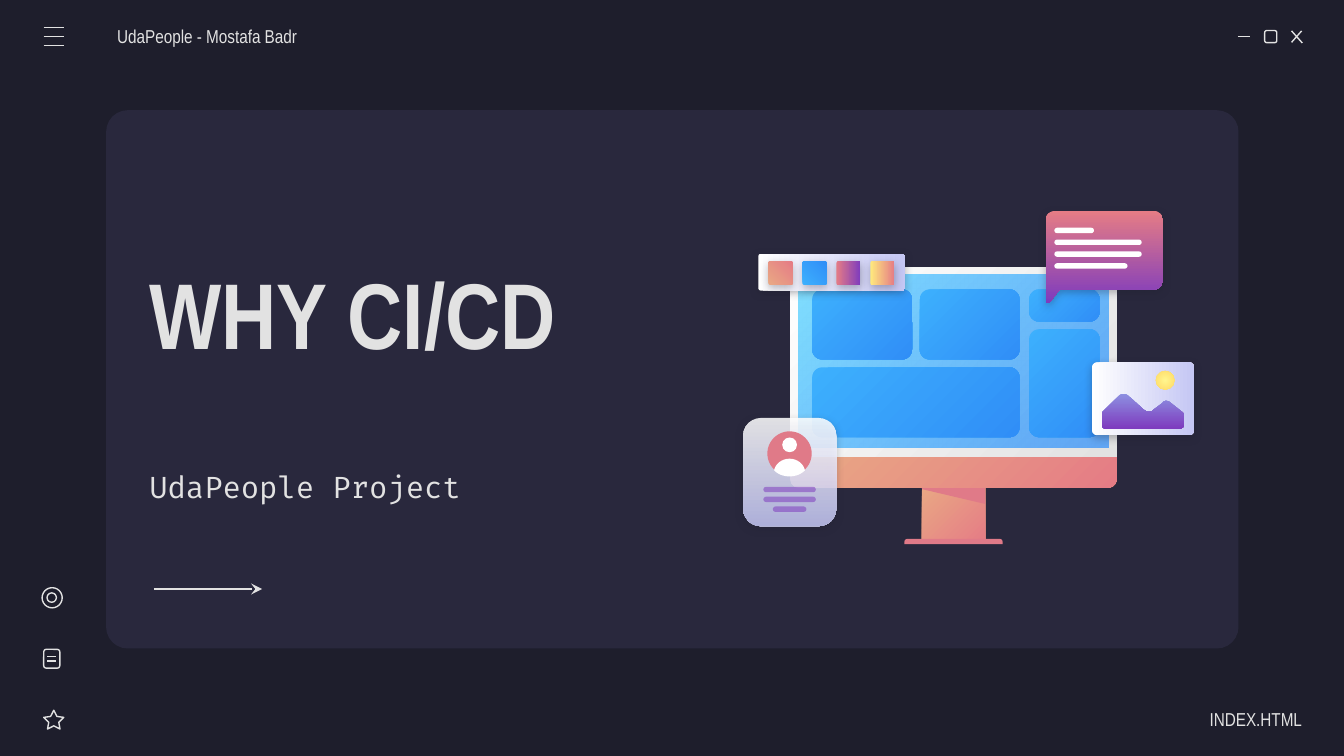
"""Build the title slide: a dark browser window with a desktop illustration."""
from dataclasses import dataclass
from typing import Optional

from lxml import etree
from pptx import Presentation
from pptx import util as u
from pptx.dml.color import RGBColor
from pptx.enum import shapes, text
from pptx.oxml.ns import qn

COLUMNS = 100
WIDTH = u.Inches(10)
HEIGHT = u.Emu(WIDTH * 9 // 16)
CELL = WIDTH / COLUMNS

NIGHT = RGBColor(0x1E, 0x1E, 0x2C)
PANEL = RGBColor(0x29, 0x28, 0x3D)
SILVER = RGBColor(0xE2, 0xE2, 0xE2)
WHITE = RGBColor(0xFF, 0xFF, 0xFF)
LAVENDER = RGBColor(0xC5, 0xC7, 0xF4)
PERIWINKLE = RGBColor(0x8D, 0x90, 0xE1)
PURPLE = RGBColor(0x7E, 0x3B, 0xBE)
ROSE = RGBColor(0xE0, 0x7A, 0x88)
CORAL = RGBColor(0xE5, 0x7C, 0x85)
PEACH = RGBColor(0xE9, 0xA9, 0x84)
SKY = RGBColor(0x80, 0xDF, 0xFF)
AZURE = RGBColor(0x31, 0x8F, 0xFA)
LIGHT_BLUE = RGBColor(0x3D, 0xB0, 0xFD)
BLUE = RGBColor(0x30, 0x8E, 0xF7)
LEMON = RGBColor(0xFF, 0xF6, 0x8E)
YELLOW = RGBColor(0xFF, 0xEA, 0x7D)
GOLD = RGBColor(0xFF, 0xD9, 0x66)

RECTANGLE = shapes.MSO_SHAPE.RECTANGLE
ROUNDED = shapes.MSO_SHAPE.ROUNDED_RECTANGLE
ROUND_TOP = shapes.MSO_SHAPE.ROUND_2_SAME_RECTANGLE
OVAL = shapes.MSO_SHAPE.OVAL
STAR = shapes.MSO_SHAPE.STAR_5_POINT


@dataclass(frozen=True)
class Paint:
    """A solid colour, or a gradient when an end colour is given."""
    start: RGBColor
    end: Optional[RGBColor] = None
    angle: int = 45
    opacity: tuple = (100, 100)
    radial: bool = False


@dataclass(frozen=True)
class Item:
    """A preset shape placed in grid cells: left, top, width, height."""
    kind: int
    area: tuple
    paint: Optional[Paint] = None
    adjust: tuple = ()
    rotation: int = 0
    shadow: bool = False


@dataclass(frozen=True)
class Label:
    """A line of text with its box in grid cells and its side insets."""
    words: str
    area: tuple
    size: int
    font: str = "Arial Narrow"
    bold: bool = False
    insets: tuple = (1, 1)
    align: int = text.PP_ALIGN.LEFT


WARM = Paint(PEACH, CORAL)
OCEAN = Paint(LIGHT_BLUE, BLUE)
PAPER = Paint(WHITE, LAVENDER, 90)
DUSK = Paint(CORAL, PURPLE, 90)


def cells(count: float) -> u.Emu:
    """Return the length of a number of grid cells."""
    return u.Emu(round(count * CELL))


def add_child(parent, tag: str, **values):
    """Add a drawing element with the given attribute values."""
    child = etree.SubElement(parent, qn(tag))
    for name, value in values.items():
        child.set(name, str(value))
    return child


def apply_paint(shape, paint: Paint) -> None:
    """Fill a shape and remove its outline."""
    fill = shape.fill
    if paint.end is None:
        fill.solid()
        fill.fore_color.rgb = paint.start
    else:
        fill.gradient()
        fill.gradient_angle = (360 - paint.angle) % 360
        for stop, color in zip(fill.gradient_stops, (paint.start, paint.end)):
            stop.color.rgb = color
    properties = shape._element.spPr
    for color, opacity in zip(properties.iter(qn("a:srgbClr")), paint.opacity):
        if opacity < 100:
            add_child(color, "a:alpha", val=opacity * 1000)
    if paint.radial:
        gradient = properties.find(qn("a:gradFill"))
        gradient.remove(gradient.find(qn("a:lin")))
        circle = add_child(gradient, "a:path", path="circle")
        add_child(circle, "a:fillToRect", l=50000, t=50000, r=50000, b=50000)
    shape.line.fill.background()


def outline(line) -> None:
    """Give a line the thin silver stroke."""
    line.color.rgb = SILVER
    line.width = u.Pt(0.75)


def set_shadow(shape, visible: bool) -> None:
    """Clear the theme shadow and add a soft one when wanted."""
    shape.shadow.inherit = False
    if visible:
        effects = shape._element.spPr.find(qn("a:effectLst"))
        shadow = add_child(effects, "a:outerShdw", blurRad=u.Pt(4.5), dist=u.Pt(1.5),
                           dir=5400000, algn="bl", rotWithShape=0)
        color = add_child(shadow, "a:srgbClr", val=NIGHT)
        add_child(color, "a:alpha", val=30000)


def draw_item(slide, item: Item) -> None:
    """Draw a preset shape, outlined when it has no paint."""
    shape = slide.shapes.add_shape(item.kind, *map(cells, item.area))
    for index, value in enumerate(item.adjust):
        shape.adjustments[index] = value
    shape.rotation = item.rotation
    if item.paint:
        apply_paint(shape, item.paint)
    else:
        shape.fill.background()
        outline(shape.line)
    set_shadow(shape, item.shadow)


def curve_points(start: tuple, curve: tuple, steps: int = 8) -> list:
    """Return points along a cubic curve given by two controls and an end."""
    points = (start, curve[:2], curve[2:4], curve[4:])
    result = []
    for step in range(1, steps + 1):
        t = step / steps
        weights = ((1 - t) ** 3, 3 * t * (1 - t) ** 2, 3 * t * t * (1 - t), t ** 3)
        result.append(tuple(sum(w * p[axis] for w, p in zip(weights, points))
                            for axis in (0, 1)))
    return result


def draw_outline(slide, segments: list, paint: Paint, shadow: bool = False) -> None:
    """Draw a closed outline of points and cubic curves."""
    points = [segments[0]]
    for segment in segments[1:]:
        points += [segment] if len(segment) == 2 else curve_points(points[-1], segment)
    builder = slide.shapes.build_freeform(*map(cells, points[0]))
    builder.add_line_segments([tuple(map(cells, point)) for point in points[1:]])
    shape = builder.convert_to_shape()
    apply_paint(shape, paint)
    set_shadow(shape, shadow)


def draw_line(slide, ends: tuple, arrow: bool = False) -> None:
    """Draw a straight line between two grid positions."""
    connector = slide.shapes.add_connector(shapes.MSO_CONNECTOR.STRAIGHT, *map(cells, ends))
    outline(connector.line)
    properties = connector._element.spPr
    if arrow:
        add_child(properties.find(qn("a:ln")), "a:tailEnd", type="stealth")
    add_child(properties, "a:effectLst")


def draw_label(slide, label: Label) -> None:
    """Write a line of text in its box."""
    frame = slide.shapes.add_textbox(*map(cells, label.area)).text_frame
    frame.word_wrap = True
    frame.vertical_anchor = text.MSO_ANCHOR.MIDDLE
    frame.margin_left, frame.margin_right = map(cells, label.insets)
    frame.margin_top = frame.margin_bottom = cells(1)
    frame.text = label.words
    paragraph = frame.paragraphs[0]
    paragraph.alignment = label.align
    font = paragraph.runs[0].font
    font.name, font.size, font.bold = label.font, u.Pt(label.size), label.bold
    font.color.rgb = SILVER


def draw_window(slide) -> None:
    """Draw the panel, the window controls and the side icons."""
    draw_item(slide, Item(ROUNDED, (7.9, 8.2, 84.25, 40.05), Paint(PANEL), (0.04,)))
    menu = [(3.25, top, 4.75, top) for top in (2.05, 2.73, 3.4)]
    controls = [(92.1, 2.73, 93, 2.73), (96.1, 2.3, 96.9, 3.2), (96.85, 2.3, 96.1, 3.15)]
    note = [(3.5, top, 4.2, top) for top in (48.85, 49.2)]
    for ends in menu + controls + note:
        draw_line(slide, ends)
    for icon in (Item(ROUNDED, (94.1, 2.27, 0.9, 0.9)), Item(STAR, (3.25, 52.85, 1.5, 1.4), adjust=(0.25,)),
                 Item(ROUNDED, (3.25, 48.32, 1.2, 1.4)), Item(OVAL, (3.13, 43.73, 1.5, 1.5)),
                 Item(OVAL, (3.5, 44.12, 0.7, 0.7))):
        draw_item(slide, icon)
    draw_line(slide, (11.45, 43.83, 19.5, 43.83), arrow=True)


def draw_monitor(slide) -> None:
    """Draw the stand, the screen and its tiles."""
    draw_item(slide, Item(RECTANGLE, (68.6, 36.1, 4.7, 4.3), WARM))
    draw_item(slide, Item(ROUND_TOP, (67.3, 40.1, 7.3, 0.4), Paint(ROSE), (0.5, 0)))
    draw_outline(slide, [(68.6, 36.1), (68.6, 36.4), (73.3, 37.5), (73.3, 36.1)], Paint(ROSE))
    draw_item(slide, Item(ROUND_TOP, (58.8, 33.9, 24.3, 2.4), WARM, (0, 0.27)))
    draw_item(slide, Item(ROUND_TOP, (58.8, 19.9, 24.3, 14.1), Paint(WHITE, SILVER), (0.04, 0)))
    draw_item(slide, Item(RECTANGLE, (59.4, 20.45, 23.1, 12.85), Paint(SKY, AZURE, opacity=(100, 72))))
    for area in ((60.43, 21.53, 7.43, 5.22), (60.43, 27.33, 15.43, 5.2), (68.43, 21.53, 7.43, 5.22),
                 (76.57, 21.53, 5.25, 2.4), (76.57, 24.5, 5.25, 8.03)):
        draw_item(slide, Item(ROUNDED, area, OCEAN, (0.75 / min(area[2:]),)))


def draw_message(slide) -> None:
    """Draw the speech bubble with its lines."""
    bubble = [(78.5, 15.7), (78.1, 15.7, 77.8, 16, 77.8, 16.4), (77.8, 22.4),
              (77.8, 22.5, 77.9, 22.55, 78, 22.55), (78, 22.55, 78.1, 22.5, 78.1, 22.5),
              (78.85, 21.55), (85.9, 21.55), (86.2, 21.55, 86.53, 21.2, 86.53, 20.9),
              (86.53, 16.4), (86.53, 16, 86.2, 15.7, 85.9, 15.7)]
    draw_outline(slide, bubble, DUSK, shadow=True)
    for row, width in enumerate((2.95, 6.5, 6.5, 5.45)):
        draw_item(slide, Item(ROUNDED, (78.45, 16.95 + 0.88 * row, width, 0.4), Paint(WHITE), (0.5,)))


def draw_profile(slide) -> None:
    """Draw the profile card."""
    card = Paint(WHITE, LAVENDER, 90, (86, 86))
    draw_item(slide, Item(ROUNDED, (55.3, 31.1, 6.93, 8.05), card, (0.19,), shadow=True))
    draw_item(slide, Item(OVAL, (57.1, 32.1, 3.3, 3.3), Paint(ROSE)))
    draw_item(slide, Item(OVAL, (58.2, 32.55, 1.1, 1.1), Paint(WHITE)))
    shoulders = [(58.75, 34.13), (58.2, 34.13, 57.7, 34.5, 57.6, 35),
                 (57.9, 35.3, 58.3, 35.45, 58.75, 35.45), (59.2, 35.45, 59.6, 35.3, 59.9, 35),
                 (59.8, 34.5, 59.3, 34.13, 58.75, 34.13)]
    draw_outline(slide, shoulders, Paint(WHITE))
    for row, width in enumerate((3.9, 3.9, 2.5)):
        area = (58.75 - width / 2, 36.23 + 0.73 * row, width, 0.4)
        draw_item(slide, Item(ROUNDED, area, Paint(PURPLE, opacity=(54,)), (0.5,)))


def draw_photo(slide) -> None:
    """Draw the photo card with hills and a sun."""
    draw_item(slide, Item(ROUNDED, (82.33, 25.87, 5.43, 7.6), PAPER, (0.07,), 270, True))
    hills = [(83.6, 29.3), (83.5, 29.3, 83.4, 29.3, 83.3, 29.4), (82.1, 30.6),
             (82, 30.7, 82, 30.7, 82, 30.8), (82, 31.6), (82, 31.8, 82.1, 31.9, 82.3, 31.9),
             (87.8, 31.9), (87.9, 31.9, 88.1, 31.8, 88.1, 31.6), (88.1, 30.9),
             (88.1, 30.8, 88, 30.7, 88, 30.7), (87, 29.9), (86.8, 29.8, 86.6, 29.8, 86.5, 30),
             (85.7, 30.6), (85.5, 30.65, 85.3, 30.65, 85.1, 30.5), (83.9, 29.4),
             (83.8, 29.3, 83.7, 29.3, 83.6, 29.3)]
    draw_outline(slide, hills, Paint(PERIWINKLE, PURPLE, 90))
    draw_item(slide, Item(OVAL, (86, 27.6, 1.4, 1.4), Paint(LEMON, GOLD, radial=True)))


def draw_palette(slide) -> None:
    """Draw the strip of colour swatches."""
    draw_item(slide, Item(ROUNDED, (60.5, 14.8, 2.75, 10.9), PAPER, (0.07,), 270, True))
    for column, paint in enumerate((WARM, OCEAN, DUSK, Paint(YELLOW, CORAL, 90))):
        area = (57.2 + 2.53 * column, 19.42, 1.75, 1.8)
        draw_item(slide, Item(ROUNDED, area, paint, (0.07,), 270, True))


def main() -> None:
    """Build and save the presentation."""
    presentation = Presentation()
    presentation.slide_width, presentation.slide_height = WIDTH, HEIGHT
    slide = presentation.slides.add_slide(presentation.slide_layouts[6])
    slide.background.fill.solid()
    slide.background.fill.fore_color.rgb = NIGHT
    for draw in (draw_window, draw_monitor, draw_message, draw_profile, draw_photo, draw_palette):
        draw(slide)
    for label in (Label("UdaPeople Project", (10.13, 33.87, 32.4, 4.6), 16, "Fira Code"),
                  Label("WHY CI/CD", (10.13, 14.45, 44.7, 17.6), 50, bold=True),
                  Label("INDEX.HTML", (85.17, 52, 11.7, 3), 10, insets=(1, 0), align=text.PP_ALIGN.RIGHT),
                  Label("UdaPeople - Mostafa Badr", (8.72, 1.2, 19.2, 3), 10, insets=(0, 1))):
        draw_label(slide, label)
    presentation.save("out.pptx")


if __name__ == "__main__":
    main()
